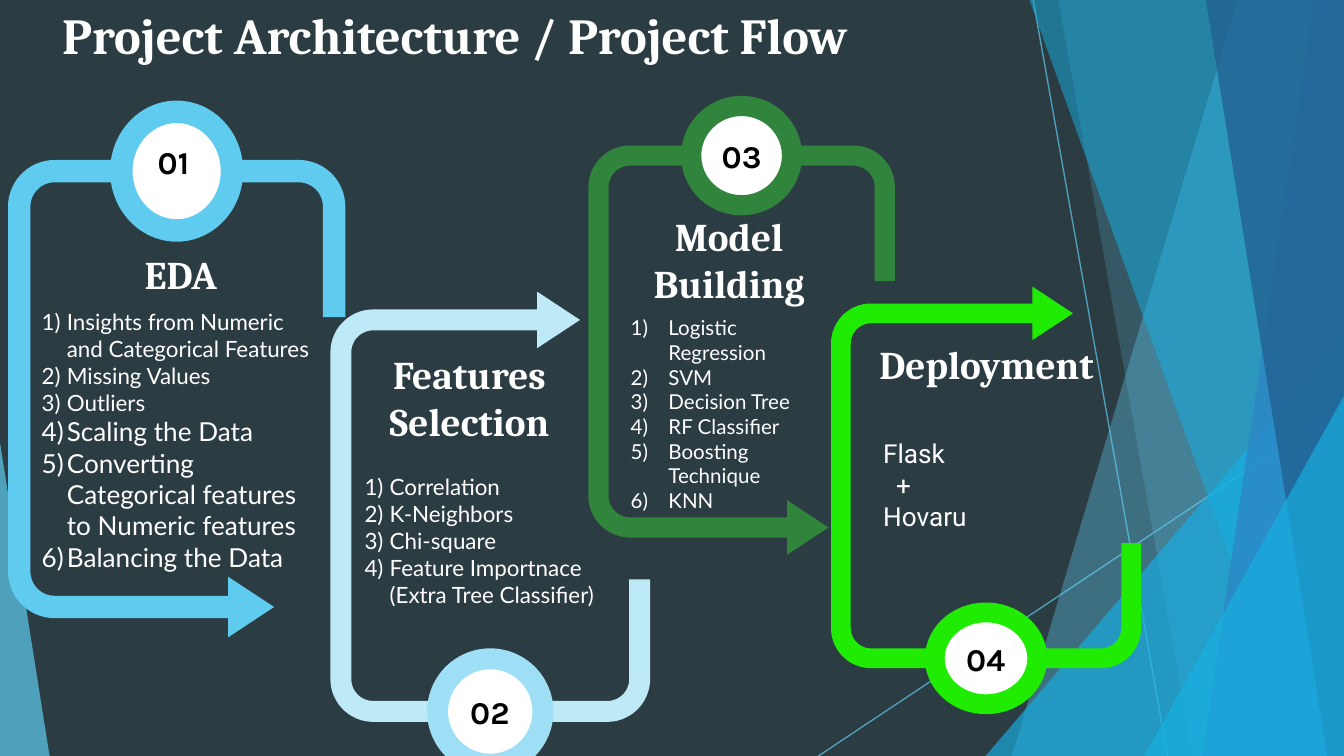
from math import cos, radians, sin
from typing import NamedTuple, Optional

from lxml.etree import SubElement
from pptx import Presentation
from pptx.dml.color import RGBColor
from pptx.enum.shapes import MSO_CONNECTOR, MSO_SHAPE
from pptx.enum.text import MSO_ANCHOR, PP_ALIGN
from pptx.oxml.ns import qn
from pptx.util import Pt

WIDE, HIGH = 720, 405

SLATE = RGBColor(0x2C, 0x3C, 0x43)
WHITE = RGBColor(0xFF, 0xFF, 0xFF)
CLOUD = RGBColor(0xFE, 0xFE, 0xFE)
BLACK = RGBColor(0x00, 0x00, 0x00)
SKY = RGBColor(0x5F, 0xCB, 0xEF)
ICE = RGBColor(0xBE, 0xEA, 0xF8)
FROST = RGBColor(0x9E, 0xDF, 0xF5)
CYAN = RGBColor(0x16, 0xB0, 0xE3)
BLUE = RGBColor(0x2E, 0x83, 0xC3)
NAVY = RGBColor(0x22, 0x62, 0x92)
GREEN = RGBColor(0x31, 0x84, 0x3C)
LIME = RGBColor(0x1F, 0xEB, 0x03)


class Facet(NamedTuple):
    top: float
    high: float
    base: float
    edge: float
    color: RGBColor
    alpha: int


class Ray(NamedTuple):
    start: tuple
    end: tuple


class Box(NamedTuple):
    left: float
    top: float
    width: float
    height: float


class Font(NamedTuple):
    name: str
    size: float
    color: RGBColor = WHITE
    bold: bool = False


class Line(NamedTuple):
    text: str
    font: Font
    indent: float = 0
    count: bool = False


class Pipe(NamedTuple):
    """A bent band; stem and leg are its free ends, measured from the frame."""
    frame: Box
    thick: float
    bend: float
    stem: float
    leg: float
    flip: bool
    color: RGBColor


class Stage(NamedTuple):
    pipe: Pipe
    ring: tuple
    tint: RGBColor
    mark: str
    spot: Box
    name: str
    head: Box


HEAD = Font("Cambria", 21, WHITE, True)
MARK = Font("Karla", 17, BLACK, True)
TITLE = Font("Cambria", 27, CLOUD, True)
LATO = {size: Font("Lato", size) for size in (11, 12, 14)}
PLAIN = Font("Roboto", 14)

RAYS = [Ray((553.5, 0), (625.5, HIGH)), Ray((WIDE, 217.5), (438.5, HIGH))]
FACETS = [
    Facet(663, 0, 542, WIDE, SKY, 36),
    Facet(567, 0, 639, WIDE, SKY, 20),
    Facet(WIDE, 180, 528, WIDE, CYAN, 66),
    Facet(551.5, 0, 697, WIDE, CYAN, 50),
    Facet(704, 0, 644, WIDE, BLUE, 70),
    Facet(646, 0, 711, WIDE, NAVY, 80),
    Facet(WIDE, 212, 613, WIDE, CYAN, 66),
    Facet(0, 237, 26.6, 0, SKY, 70),
]
STAGES = [
    Stage(Pipe(Box(315.2, 78, 164.2, 210), 10.8, 22.3, 114.5, 72.5, False, GREEN),
          (64.8, 64), GREEN, "03", Box(352.3, 71.5, 90, 23.8),
          "Model Building", Box(319.7, 136.8, 141.8, 4.3)),
    Stage(Pipe(Box(177, 165.8, 171.3, 221), 11.2, 23, 118.8, 76.3, True, ICE),
          (67.7, 67.7), FROST, "02", Box(215.3, 368.6, 94.3, 25.2),
          "Features Selection", Box(188.2, 199.4, 126.7, 27.4)),
    Stage(Pipe(Box(445.2, 162.6, 166.1, 195.4), 10.6, 21.5, 115.9, 67, True, LIME),
          (65.5, 59.8), LIME, "04", Box(482.4, 342, 91.4, 22.3),
          "Deployment", Box(455.8, 183.6, 145.4, 22.3)),
    Stage(Pipe(Box(4.3, 85.7, 180.7, 245.5), 12, 25, 126, 84.2, False, SKY),
          (71.3, 75.6), SKY, "01", Box(43.2, 72.7, 99.4, 28),
          "EDA", Box(20.2, 132.5, 153.4, 28)),
]


def paint(shape, color: RGBColor, alpha: int = 100) -> None:
    shape.shadow.inherit = False
    shape.fill.solid()
    shape.fill.fore_color.rgb = color
    shape.line.fill.background()
    fade(shape, alpha)


def fade(shape, alpha: int) -> None:
    if alpha < 100:
        for tone in shape._element.xpath(".//a:srgbClr"):
            SubElement(tone, qn("a:alpha")).set("val", str(alpha * 1000))


def draw_shape(slide, points: list, color: RGBColor, alpha: int = 100) -> None:
    spots = [(Pt(x), Pt(y)) for x, y in points]
    pen = slide.shapes.build_freeform(*spots[0], scale=1.0)
    pen.add_line_segments(spots[1:], close=True)
    paint(pen.convert_to_shape(), color, alpha)


def draw_facet(slide, facet: Facet) -> None:
    draw_shape(slide, [(facet.top, facet.high), (facet.edge, facet.high),
                       (facet.edge, HIGH), (facet.base, HIGH)],
               facet.color, facet.alpha)


def draw_ray(slide, ray: Ray) -> None:
    spots = [Pt(n) for n in ray.start + ray.end]
    line = slide.shapes.add_connector(MSO_CONNECTOR.STRAIGHT, *spots)
    line.line.color.rgb = SKY
    line.line.width = Pt(0.75)
    fade(line, 70)
    SubElement(line._element.spPr, qn("a:effectLst"))


def bends(pipe: Pipe, radius: float) -> list:
    """Points round the three corners, from the leg to the stem."""
    far, low, bend = pipe.frame.width - pipe.bend, pipe.frame.height - pipe.bend, pipe.bend
    turns = [(far, bend, 0), (bend, bend, 90), (bend, low, 180)]
    return [(x + radius * cos(radians(start + step)), y - radius * sin(radians(start + step)))
            for x, y, start in turns for step in range(0, 91, 6)]


def draw_pipe(slide, pipe: Pipe) -> None:
    left, top, width, height = pipe.frame
    thick, stem = pipe.thick, pipe.stem

    def place(points: list) -> list:
        return [(left + x, top + (height - y if pipe.flip else y)) for x, y in points]

    band = ([(width, pipe.leg)] + bends(pipe, pipe.bend)
            + [(stem, height), (stem, height - thick)]
            + bends(pipe, pipe.bend - thick)[::-1] + [(width - thick, pipe.leg)])
    mid, half, back = height - thick / 2, 1.35 * thick, stem - 8
    arrow = [(back, mid - half), (back, mid + half), (back + 2.05 * thick, mid)]
    draw_shape(slide, place(band), pipe.color)
    draw_shape(slide, place(arrow), pipe.color)


def draw_ring(slide, stage: Stage) -> None:
    """A white disc under a ring, centred on the closed long side of the pipe."""
    pipe, (width, height) = stage.pipe, stage.ring
    frame, thick = pipe.frame, pipe.thick
    mid_x = frame.left + frame.width / 2
    mid_y = frame.top + (frame.height - thick / 2 if pipe.flip else thick / 2)
    for kind, trim, color in ((MSO_SHAPE.OVAL, thick, WHITE), (MSO_SHAPE.DONUT, 0, stage.tint)):
        wide, high = width - trim, height - trim
        shape = slide.shapes.add_shape(kind, Pt(mid_x - wide / 2), Pt(mid_y - high / 2),
                                       Pt(wide), Pt(high))
        paint(shape, color)
        if kind == MSO_SHAPE.DONUT:
            shape.adjustments[0] = thick / min(wide, high)


def add_text(slide, box: Box, lines: list, align: Optional[PP_ALIGN] = None,
             anchor: MSO_ANCHOR = MSO_ANCHOR.MIDDLE) -> None:
    frame = slide.shapes.add_textbox(*[Pt(n) for n in box]).text_frame
    frame.word_wrap = True
    frame.vertical_anchor = anchor
    frame.margin_left = frame.margin_right = Pt(5.3)
    frame.margin_top = frame.margin_bottom = Pt(2.7 if anchor == MSO_ANCHOR.TOP else 5.3)
    for index, line in enumerate(lines):
        para = frame.add_paragraph() if index else frame.paragraphs[0]
        para.alignment = align
        if line.indent:
            props = para._p.get_or_add_pPr()
            props.set("marL", str(Pt(line.indent)))
            props.set("indent", str(-Pt(line.indent) if line.count else 0))
            if line.count:
                SubElement(props, qn("a:buAutoNum")).set("type", "arabicParenR")
        run = para.add_run()
        run.text = line.text
        run.font.name, run.font.size = line.font.name, Pt(line.font.size)
        run.font.bold = line.font.bold
        run.font.color.rgb = line.font.color


def draw_stage(slide, stage: Stage) -> None:
    draw_pipe(slide, stage.pipe)
    draw_ring(slide, stage)
    add_text(slide, stage.head, [Line(stage.name, HEAD)], PP_ALIGN.CENTER)
    add_text(slide, stage.spot, [Line(stage.mark, MARK)], PP_ALIGN.CENTER)


def steps(texts: list, size: int, indent: float) -> list:
    return [Line(text, LATO[size], indent, True) for text in texts]


def main() -> None:
    deck = Presentation()
    deck.slide_width, deck.slide_height = Pt(WIDE), Pt(HIGH)
    slide = deck.slides.add_slide(deck.slide_layouts[6])
    slide.background.fill.solid()
    slide.background.fill.fore_color.rgb = SLATE
    for ray in RAYS:
        draw_ray(slide, ray)
    for facet in FACETS:
        draw_facet(slide, facet)
    add_text(slide, Box(28, -0.7, 511, 41), [Line("Project Architecture / Project Flow", TITLE)],
             anchor=MSO_ANCHOR.TOP)
    for stage in STAGES:
        draw_stage(slide, stage)

    add_text(slide, Box(17, 160.3, 161.5, 151.2),
             steps(["Insights from Numeric and Categorical Features", "Missing Values",
                    "Outliers"], 12, 13.5)
             + steps(["Scaling the Data", "Converting Categorical features to Numeric features",
                      "Balancing the Data"], 14, 13.5))
    add_text(slide, Box(190, 237.3, 146.2, 104.4),
             steps(["Correlation", "K-Neighbors", "Chi-square",
                    "Feature Importnace (Extra Tree Classifier)"], 12, 13.5))
    add_text(slide, Box(332.6, 166.3, 105.8, 120.2),
             steps(["Logistic Regression", "SVM", "Decision Tree", "RF Classifier",
                    "Boosting Technique", "KNN"], 11, 20.2), anchor=MSO_ANCHOR.TOP)
    add_text(slide, Box(467.8, 231.8, 118.8, 54.7),
             [Line("Flask", PLAIN), Line("+", PLAIN, 7), Line("Hovaru", PLAIN)],
             anchor=MSO_ANCHOR.TOP)
    deck.save("out.pptx")


if __name__ == "__main__":
    main()
